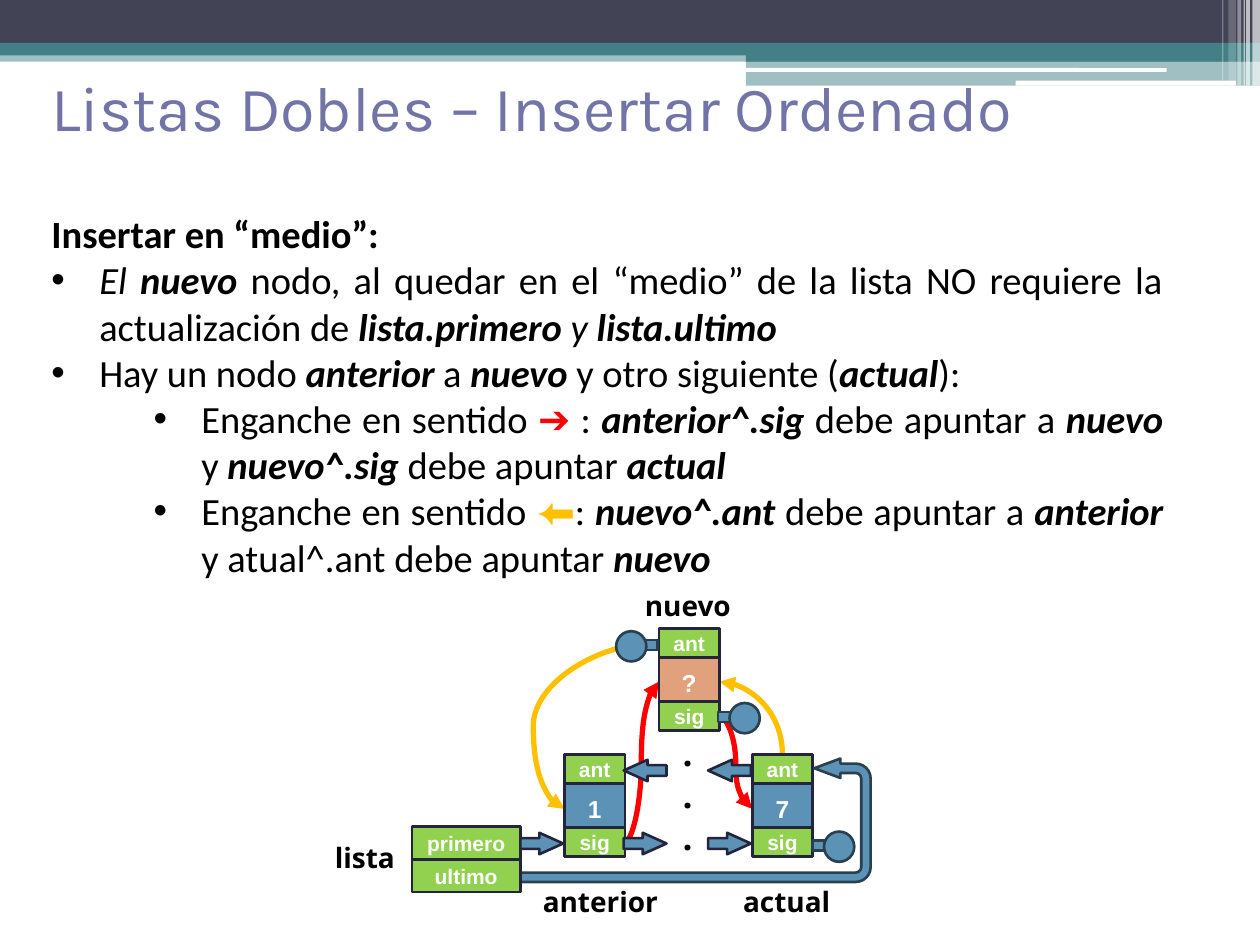
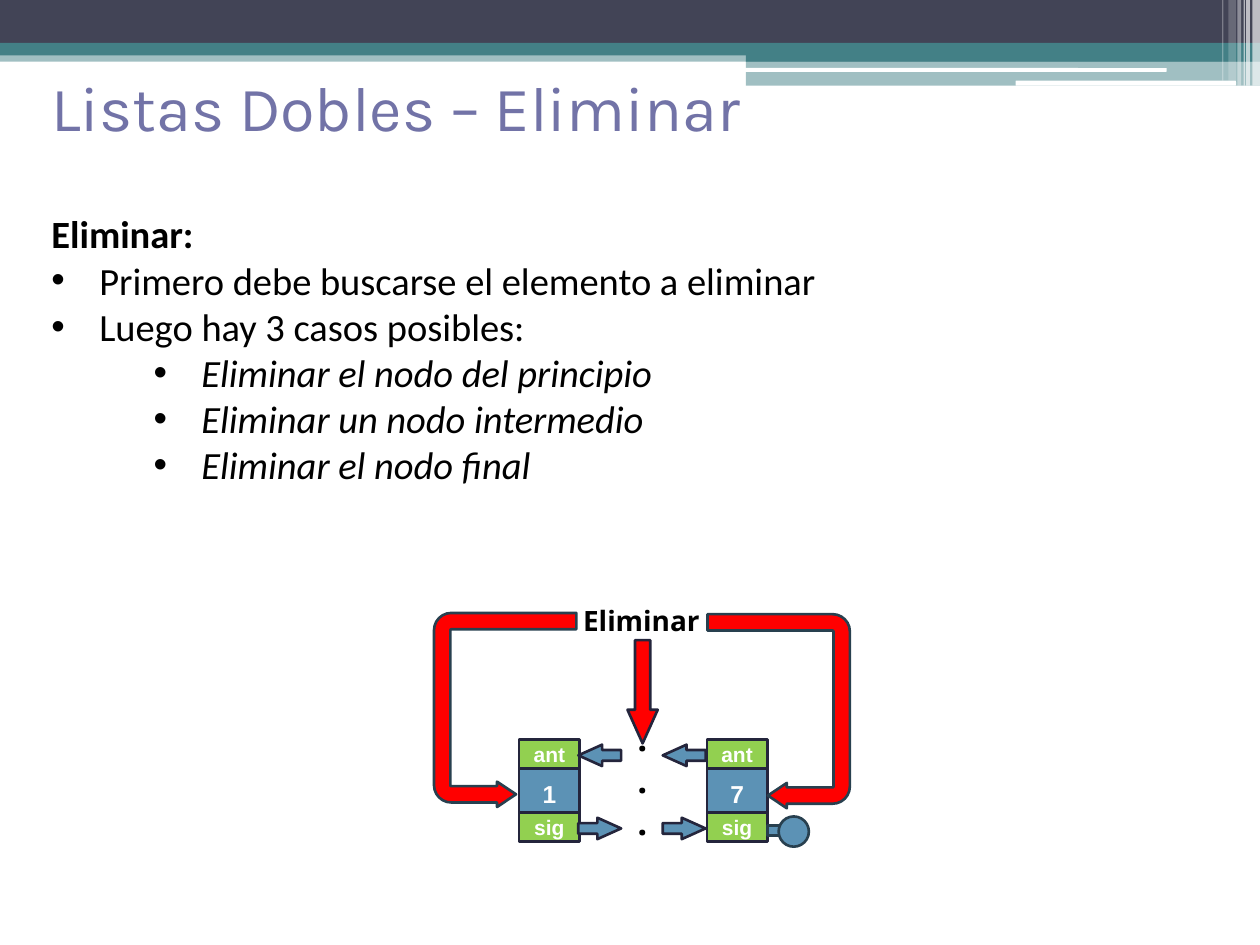
from lxml import etree
from pptx import Presentation
from pptx import util as u
from pptx.dml.color import RGBColor
from pptx.enum import shapes, text
from pptx.oxml import ns

COLORS = {
    "navy": "424456", "teal": "438086", "white": "FFFFFF", "black": "000000",
    "title": "7273A7", "green": "92D050", "orange": "E1A17C", "blue": "5C92B5",
    "red": "FF0000", "gold": "FFC000", "edge": "24253C", "pipe": "28404F",
}
COLUMNS, ROWS = 10, 7.5
CELL = u.Inches(1)
NODE_W, FIELD_H, VALUE_H = 0.48, 0.23, 0.4
VALUE_Y, SIG_Y = 0.23, 0.58
ARROW_W, ARROW_H = 0.34, 0.17
ARROW_ADJUST = (0.5, 1.11)
SHAPE = shapes.MSO_SHAPE

# left, top, width, height, colour, opacity in percent
BANDS = [
    (0, 0.4, 10, 0.09, "teal", 50),
    (0, 0, 10, 0.34, "navy", 100),
    (0, 0.34, 10, 0.1, "teal", 100),
    (5.92, 0.39, 4.08, 0.1, "teal", 100),
    (5.92, 0.48, 4.08, 0.2, "teal", 50),
]
ROUNDED_BANDS = [(5.91, 0.54, 3.35, 0.03), (8.06, 0.64, 1.75, 0.04)]
# left, width, height, opacity in percent
STRIPES = [
    (9.94, 0.06, 0.68, 65), (9.89, 0.03, 0.68, 65), (9.87, 0.01, 0.68, 60),
    (9.82, 0.03, 0.68, 40), (9.75, 0.06, 0.64, 20), (9.7, 0.01, 0.64, 30),
]

# Each paragraph: bullet level (None for a heading) and spans of text and style
INSERT_TEXT = [
    (None, [("Insertar en “medio”:", "b")]),
    (0, [("El ", "i"), ("nuevo", "bi"),
         (" nodo, al quedar en el “medio” de la lista NO requiere la actualización de ", ""),
         ("lista.primero ", "bi"), ("y ", "i"), ("lista.ultimo", "bi")]),
    (0, [("Hay un nodo ", ""), ("anterior", "bi"), (" a ", ""), ("nuevo", "bi"),
         (" y otro siguiente (", ""), ("actual", "bi"), ("):", "")]),
    (1, [("Enganche en sentido ", ""), ("➔", "", "red"), (" : ", ""),
         ("anterior^.sig ", "bi"), ("debe apuntar a ", ""), ("nuevo", "bi"),
         (" y ", ""), ("nuevo^.sig ", "bi"), ("debe apuntar ", ""), ("actual", "bi")]),
    (1, [("Enganche en sentido ", ""), ("⬅", "", "gold"), (": ", ""),
         ("nuevo^.ant ", "bi"), ("debe apuntar a ", ""), ("anterior", "bi"),
         (" y atual^.ant debe apuntar ", ""), ("nuevo", "bi")]),
]
DELETE_TEXT = [
    (None, [("Eliminar:", "b")]),
    (0, [("Primero debe buscarse el elemento a eliminar", "")]),
    (0, [("Luego hay 3 casos posibles:", "")]),
    (1, [("Eliminar el nodo del principio", "i")]),
    (1, [("Eliminar un nodo intermedio", "i")]),
    (1, [("Eliminar el nodo final", "i")]),
]


def rgb(name):
    return RGBColor.from_string(COLORS[name])


def cells(*lengths):
    """Turn grid columns or rows into slide lengths."""
    return [int(length * CELL) for length in lengths]


def set_font(font, name, size, color, bold=False):
    font.name, font.size, font.bold = name, u.Pt(size), bold
    font.color.rgb = rgb(color)


def add_box(slide, kind, left, top, width, height, fill, line=None,
            opacity=100, adjust=(), turn=0, flip=False):
    box = slide.shapes.add_shape(kind, *cells(left, top, width, height))
    box.shadow.inherit = False
    box.fill.solid()
    box.fill.fore_color.rgb = rgb(fill)
    if line:
        box.line.color.rgb = rgb(line)
        box.line.width = u.Pt(1.5)
    else:
        box.line.fill.background()
    for index, value in enumerate(adjust):
        box.adjustments[index] = value
    box.rotation = turn
    properties = box._element.spPr
    if flip:
        properties.find(ns.qn("a:xfrm")).set("flipV", "1")
    if opacity < 100:
        color = properties.find(ns.qn("a:solidFill"))[0]
        etree.SubElement(color, ns.qn("a:alpha")).set("val", str(opacity * 1000))
    return box


def add_field(slide, left, top, width, height, words, fill="green", size=12):
    frame = add_box(slide, SHAPE.RECTANGLE, left, top, width, height,
                    fill, "edge").text_frame
    frame.margin_left = frame.margin_right = frame.margin_top = frame.margin_bottom = 0
    frame.vertical_anchor = text.MSO_ANCHOR.MIDDLE
    para = frame.paragraphs[0]
    para.text = words
    para.alignment = text.PP_ALIGN.CENTER
    set_font(para.font, "Arial", size, "white", True)


def add_node(slide, left, top, value, fill="blue"):
    add_field(slide, left, top, NODE_W, FIELD_H, "ant")
    add_field(slide, left, top + VALUE_Y, NODE_W, VALUE_H, value, fill, 14)
    add_field(slide, left, top + SIG_Y, NODE_W, FIELD_H, "sig")


def add_null(slide, left, top, ball_shift=0.09):
    """Draw a pointer to nothing: a stem that ends in a ball."""
    add_box(slide, SHAPE.RECTANGLE, left, top, 0.27, 0.08, "blue", "pipe")
    add_box(slide, SHAPE.FLOWCHART_CONNECTOR, left + ball_shift, top - 0.07,
            0.24, 0.24, "blue", "pipe")


def add_arrow(slide, left, top, turn=0, width=ARROW_W, height=ARROW_H, fill="blue"):
    add_box(slide, SHAPE.RIGHT_ARROW, left, top, width, height, fill, "edge",
            adjust=ARROW_ADJUST, turn=turn)


def add_label(slide, left, top, width, height, lines, size=16):
    box = slide.shapes.add_textbox(*cells(left, top, width, height))
    frame = box.text_frame
    frame.word_wrap = False
    frame.auto_size = text.MSO_AUTO_SIZE.SHAPE_TO_FIT_TEXT
    frame.text = lines
    for para in frame.paragraphs:
        set_font(para.font, "Noto Sans", size, "black", True)


def add_curve(slide, start, end, color, bend=None, quarter=False):
    """Draw a curved arrow; a quarter curve has its arrowhead at the start."""
    curve = slide.shapes.add_connector(
        shapes.MSO_CONNECTOR.CURVE, *cells(*start, *end))
    curve.line.color.rgb = rgb(color)
    curve.line.width = u.Pt(3)
    properties = curve._element.spPr
    geometry = properties.find(ns.qn("a:prstGeom"))
    if quarter:
        geometry.set("prst", "curvedConnector2")
    if bend:
        guide = etree.SubElement(geometry.find(ns.qn("a:avLst")), ns.qn("a:gd"))
        guide.set("name", "adj1")
        guide.set("fmla", f"val {round(bend * 100000)}")
    tip = "a:headEnd" if quarter else "a:tailEnd"
    etree.SubElement(properties.find(ns.qn("a:ln")), ns.qn(tip)).set("type", "triangle")
    etree.SubElement(properties, ns.qn("a:effectLst"))


def add_list_ends(slide, left, top):
    """Draw first and last node, the links towards the middle, and the dots."""
    last = left + 1.49
    add_node(slide, left, top, "1")
    add_node(slide, last, top, "7")
    for arrow_left in (left + 0.47, last - 0.35):
        add_arrow(slide, arrow_left, top + 0.04, turn=180)
        add_arrow(slide, arrow_left, top + 0.62)
    add_null(slide, last + NODE_W, top + 0.68)
    add_label(slide, left + 0.84, top - 0.23, 0.29, 1.45, ".\n.\n.", 20)


def add_banner(slide):
    for left, top, width, height, color, opacity in BANDS:
        add_box(slide, SHAPE.RECTANGLE, left, top, width, height, color, opacity=opacity)
    for band in ROUNDED_BANDS:
        add_box(slide, SHAPE.ROUNDED_RECTANGLE, *band, "white")
    for left, width, height, opacity in STRIPES:
        add_box(slide, SHAPE.RECTANGLE, left, 0, width, height, "white", opacity=opacity)


def add_title(slide, words):
    frame = slide.shapes.add_textbox(*cells(0.31, 0.39, 9.33, 0.91)).text_frame
    frame.word_wrap = True
    frame.vertical_anchor = text.MSO_ANCHOR.MIDDLE
    para = frame.paragraphs[0]
    para.text = words
    set_font(para.font, "Karla", 36, "title")


def add_bullet(para, level):
    para.level = level
    properties = para._p.get_or_add_pPr()
    properties.set("marL", str(u.Inches((0.38, 1.19)[level])))
    properties.set("indent", str(u.Inches(-0.38)))
    etree.SubElement(properties, ns.qn("a:buFont")).set("typeface", "Arial")
    etree.SubElement(properties, ns.qn("a:buChar")).set("char", "•")


def add_body(slide, width, height, paragraphs):
    frame = slide.shapes.add_textbox(*cells(0.31, 1.62, width, height)).text_frame
    frame.word_wrap = True
    for index, (level, spans) in enumerate(paragraphs):
        para = frame.add_paragraph() if index else frame.paragraphs[0]
        para.alignment = text.PP_ALIGN.JUSTIFY
        if level is not None:
            add_bullet(para, level)
        for words, style, *color in spans:
            span = para.add_run()
            span.text = words
            set_font(span.font, "Calibri", 22, color[0] if color else "black", "b" in style)
            span.font.italic = "i" in style


def start_slide(deck, title):
    page = deck.slides.add_slide(deck.slide_layouts[6])
    add_banner(page)
    add_title(page, title)
    return page


def build_insert(deck):
    page = start_slide(deck, "Listas Dobles – Insertar Ordenado")
    add_body(page, 9.02, 3.43, INSERT_TEXT)
    add_curve(page, (4.95, 6.69), (5.23, 5.41), "red")
    add_curve(page, (5.71, 5.69), (5.97, 6.42), "red")
    add_curve(page, (5.71, 5.41), (6.21, 5.99), "gold", quarter=True)
    add_curve(page, (5.23, 5.1), (4.48, 6.42), "gold", bend=1.33)

    add_node(page, 5.23, 4.99, "?", "orange")
    add_null(page, 4.95, 5.08, ball_shift=-0.06)
    add_null(page, 5.7, 5.65)
    add_list_ends(page, 4.48, 5.99)

    add_box(page, SHAPE.U_TURN_ARROW, 5.03, 5.12, 0.98, 2.78, "blue", "pipe",
            adjust=(0.076, 0.079, 0.212, 0.121, 0.161), turn=270, flip=True)
    for row, words in enumerate(("primero", "ultimo")):
        add_field(page, 3.27, 6.56 + row * 0.26, 0.86, 0.26, words)
    add_arrow(page, 4.13, 6.61)
    for left, top, width, words in (
            (5.02, 4.62, 0.89, "nuevo"), (2.56, 6.62, 0.68, "lista"),
            (4.21, 6.97, 1.11, "anterior"), (5.8, 6.97, 0.9, "actual")):
        add_label(page, left, top, width, 0.37, words)


def build_delete(deck):
    page = start_slide(deck, "Listas Dobles – Eliminar")
    add_body(page, 9.18, 2.69, DELETE_TEXT)
    add_arrow(page, 4.69, 5.37, 90, 0.82, 0.24, "red")
    add_list_ends(page, 4.12, 5.87)
    for left, top, flip in ((3.24, 5.07, True), (5.41, 5.08, False)):
        add_box(page, SHAPE.U_TURN_ARROW, left, top, 1.54, 1.13, "red", "pipe",
                adjust=(0.115, 0.089, 0.133, 0.121, 0.576), turn=90, flip=flip)
    add_label(page, 4.53, 4.74, 1.14, 0.37, "Eliminar")


def main():
    deck = Presentation()
    deck.slide_width, deck.slide_height = cells(COLUMNS, ROWS)
    build_insert(deck)
    build_delete(deck)
    deck.save("out.pptx")


if __name__ == "__main__":
    main()
